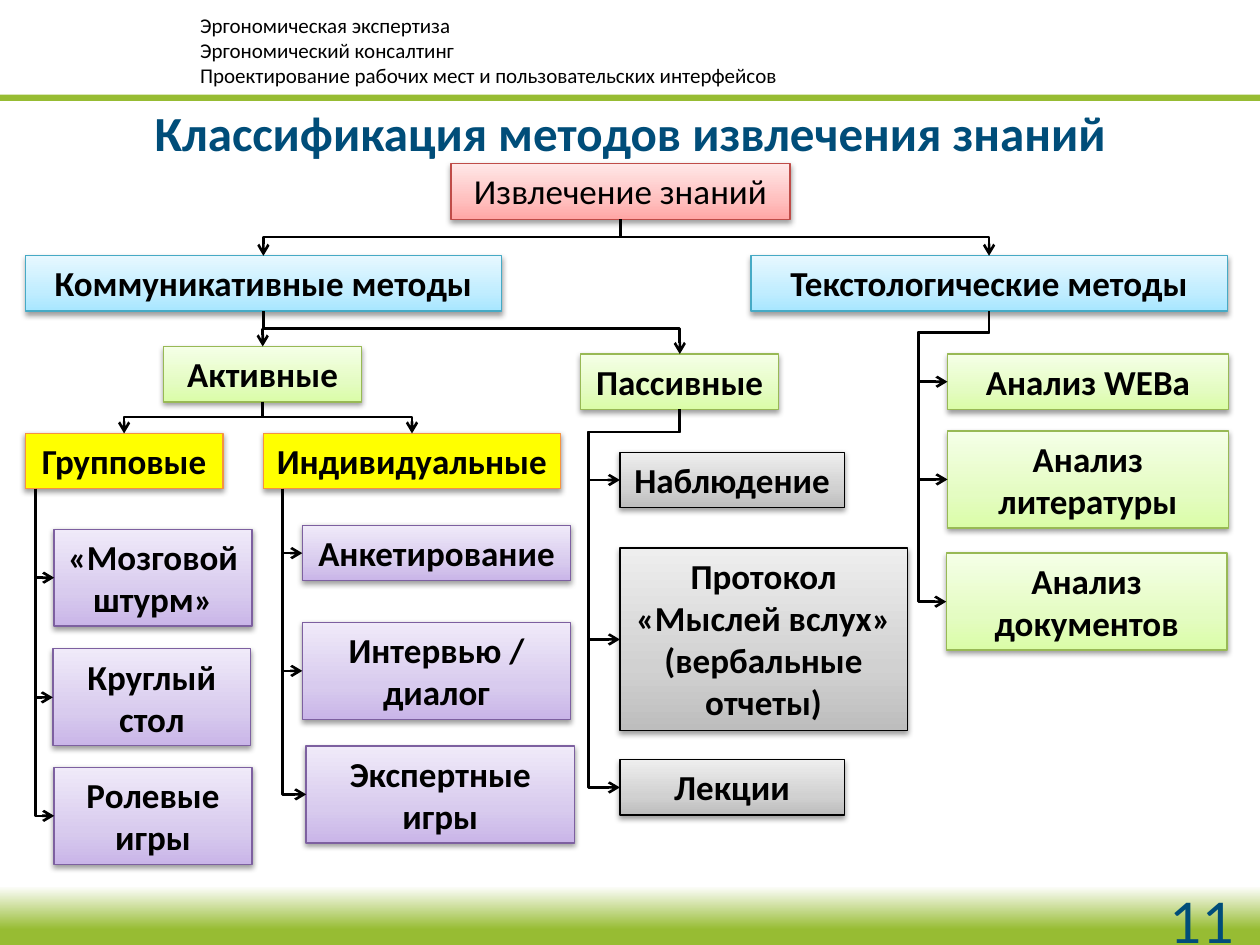
"""Build a slide with a tree of knowledge elicitation methods."""
from dataclasses import dataclass
from typing import Any, Optional

from lxml import etree
from pptx import Presentation
from pptx.dml.color import RGBColor
from pptx.enum.shapes import MSO_CONNECTOR, MSO_SHAPE
from pptx.enum.text import MSO_ANCHOR, MSO_AUTO_SIZE, PP_ALIGN
from pptx.oxml.ns import qn
from pptx.util import Emu, Pt

ELBOW, RECT = MSO_CONNECTOR.ELBOW, MSO_SHAPE.RECTANGLE
TOP, MIDDLE, FIXED = MSO_ANCHOR.TOP, MSO_ANCHOR.MIDDLE, MSO_AUTO_SIZE.NONE
LEFT, MID, RIGHT = PP_ALIGN.LEFT, PP_ALIGN.CENTER, PP_ALIGN.RIGHT
SCALE = 9144
SITE_TOP, SITE_LEFT, SITE_BASE = 0, 1, 2


@dataclass(frozen=True)
class Paint:
    """Gradient stops from bottom to top, and an outline colour."""
    stops: tuple
    line: str = ""


@dataclass(frozen=True)
class Theme:
    """Colours, fonts and type sizes of the slide."""
    ink: str = "000000"
    navy: str = "004D79"
    green: str = "97BC33"
    font: str = "Calibri"
    digit: str = "Lato"
    small: int = 12
    body: int = 20
    head: int = 28
    page: int = 32
    thin: float = 0.75
    wire: float = 1.5
    foot: Paint = Paint(((0, "97BC33"), (37, "97BC33"), (100, "FFFFFF")))
    rose: Paint = Paint(((0, "FFA6A5"), (35, "FFC0BF"), (100, "FFE7E7")), "BF4C48")
    sky: Paint = Paint(((0, "A7E6FF"), (35, "C1EDFF"), (100, "E7F8FF")), "46AAC5")
    lime: Paint = Paint(((0, "DAFDA7"), (35, "E4FCC2"), (100, "F5FFE7")), "98B955")
    grey: Paint = Paint(((0, "BDBDBD"), (35, "D1D1D1"), (100, "EEEEEE")), "000000")
    gold: Paint = Paint(((0, "FFFF00"),), "F69240")
    lilac: Paint = Paint(((0, "C9B5E8"), (35, "D8CBEE"), (100, "F0EAF9")), "7D60A0")


@dataclass(frozen=True)
class Box:
    """A labelled node of the tree, in px."""
    name: str
    text: str
    paint: Paint
    x: int
    y: int
    w: int
    h: int = 44
    bold: bool = True


@dataclass(frozen=True)
class Link:
    """Arrows from one node to others, with a drop and a side rail in px."""
    start: str
    ends: tuple
    drop: int = 0
    rail: Optional[int] = None


T = Theme()
BOXES = (
    Box("root", "Извлечение знаний", T.rose, 358, 130, 269, bold=False),
    Box("talk", "Коммуникативные методы", T.sky, 20, 203, 378),
    Box("text", "Текстологические методы", T.sky, 596, 203, 378),
    Box("web", "Анализ WEBа", T.lime, 752, 281, 223),
    Box("books", "Анализ литературы", T.lime, 752, 342, 223, 77),
    Box("files", "Анализ документов", T.lime, 751, 439, 223, 77),
    Box("active", "Активные", T.lime, 130, 275, 157),
    Box("passive", "Пассивные", T.lime, 461, 281, 157),
    Box("watch", "Наблюдение", T.grey, 492, 359, 178),
    Box("aloud", "Протокол «Мыслей вслух»\n(вербальные отчеты)", T.grey, 492, 435, 228, 145),
    Box("lecture", "Лекции", T.grey, 492, 603, 178),
    Box("group", "Групповые", T.gold, 20, 344, 157),
    Box("single", "Индивидуальные", T.gold, 209, 344, 236),
    Box("storm", "«Мозговой штурм»", T.lilac, 43, 420, 157, 77),
    Box("roles", "Ролевые игры", T.lilac, 43, 609, 157, 77),
    Box("table", "Круглый стол", T.lilac, 42, 515, 157, 77),
    Box("survey", "Анкетирование", T.lilac, 240, 417, 213),
    Box("chat", "Интервью /\nдиалог", T.lilac, 240, 494, 213, 77),
    Box("expert", "Экспертные игры", T.lilac, 243, 592, 213, 77),
)
LINKS = (
    Link("root", ("talk", "text"), 14),
    Link("talk", ("active", "passive"), 14),
    Link("text", ("web", "books", "files"), 17, 729),
    Link("active", ("single", "group"), 12),
    Link("passive", ("watch", "aloud", "lecture"), 18, 467),
    Link("single", ("survey", "chat", "expert"), rail=224),
    Link("group", ("storm", "table", "roles"), rail=28),
)
HEADER = ("Эргономическая экспертиза\nЭргономический консалтинг\n"
          "Проектирование рабочих мест и пользовательских интерфейсов")


def px(num: int) -> Emu:
    """Turn px into EMU."""
    return Emu(num * SCALE)


def put(item: Any, vals: dict) -> None:
    """Set each named value on an object."""
    for key, val in vals.items():
        setattr(item, key, val)


def place(shape: Any, x: int, y: int, w: int, h: int) -> None:
    """Move and size a shape in px."""
    put(shape, {"left": px(x), "top": px(y), "width": px(w), "height": px(h)})


def node(base: Any, tag: str, **vals: Any) -> Any:
    """Add a drawing child with the given values."""
    return etree.SubElement(base, qn(tag), {key: str(val) for key, val in vals.items()})


def write(shape: Any, text: str, size: int, ink: str = T.ink, align: Any = MID,
          bold: bool = False, font: str = T.font, anchor: Any = TOP) -> None:
    """Fill a shape with styled text."""
    frame = shape.text_frame
    put(frame, {"text": text, "word_wrap": True, "auto_size": FIXED, "vertical_anchor": anchor})
    for para in frame.paragraphs:
        para.alignment = align
        put(para.font, {"name": font, "size": Pt(size), "bold": bold})
        para.font.color.rgb = RGBColor.from_string(ink)


def draw_rect(slide: Any, area: tuple, paint: Paint) -> Any:
    """Draw a painted rectangle."""
    shape = slide.shapes.add_shape(RECT, *map(px, area))
    shape.shadow.inherit = False
    if len(paint.stops) == 1:
        shape.fill.solid()
        shape.fill.fore_color.rgb = RGBColor.from_string(paint.stops[0][1])
    else:
        shape.fill.gradient()
        shape.fill.gradient_angle = 90
        stops = shape.element.spPr.find(".//" + qn("a:gsLst"))
        stops.clear()
        for pos, tint in paint.stops:
            node(node(stops, "a:gs", pos=pos * 1000), "a:srgbClr", val=tint)
    if paint.line:
        shape.line.color.rgb = RGBColor.from_string(paint.line)
        shape.line.width = Pt(T.thin)
    else:
        shape.line.fill.background()
    return shape


def draw_box(slide: Any, box: Box) -> Any:
    """Draw a tree node with a soft shadow."""
    shape = draw_rect(slide, (box.x, box.y, box.w, box.h), box.paint)
    shade = node(shape.element.spPr.find(qn("a:effectLst")), "a:outerShdw", blurRad=40000,
                 dist=20000, dir=5400000, rotWithShape=0)
    node(node(shade, "a:srgbClr", val=T.ink), "a:alpha", val=38000)
    write(shape, box.text, T.body, bold=box.bold)
    return shape


def draw_link(slide: Any, link: Link, start: Any, end: Any) -> None:
    """Draw an elbow arrow that leaves its node downwards."""
    side = link.rail is not None
    x = start.left + start.width // 2 if link.drop else px(link.rail)
    y = start.top + start.height
    tip = end.left if side else end.left + end.width // 2
    base = end.top + end.height // 2 if side else end.top
    wide, tall = tip - x, base - y
    wire = slide.shapes.add_connector(ELBOW, 0, 0, 0, 0)
    if link.drop:
        wire.begin_connect(start, SITE_BASE)
    wire.end_connect(end, SITE_LEFT if side else SITE_TOP)
    put(wire, {"left": Emu((x + tip - tall) // 2), "top": Emu((y + base - abs(wide)) // 2),
               "width": Emu(tall), "height": Emu(abs(wide))})
    props = wire.element.spPr
    frame = props.find(qn("a:xfrm"))
    for key in ("flipH", "flipV"):
        frame.attrib.pop(key, None)
    turn = {"rot": "16200000", "flipH": "1"} if wide > 0 else {"rot": "5400000"}
    frame.attrib.update(turn)
    bends = [px(link.drop) / tall] if link.drop else []
    if link.drop and side:
        bends.append((px(link.rail) - x) / wide)
    shape = props.find(qn("a:prstGeom"))
    shape.set("prst", f"bentConnector{len(bends) + 2}")
    guides = shape.find(qn("a:avLst"))
    for num, bend in enumerate(bends, 1):
        node(guides, "a:gd", name=f"adj{num}", fmla=f"val {round(bend * 100000)}")
    wire.line.color.rgb = RGBColor.from_string(T.ink)
    wire.line.width = Pt(T.wire)
    node(props.find(qn("a:ln")), "a:tailEnd", type="arrow")
    node(props, "a:effectLst")


def main() -> None:
    """Build and save the slide."""
    deck = Presentation()
    put(deck, {"slide_width": px(1000), "slide_height": px(750)})
    slide = deck.slides.add_slide(deck.slide_layouts[5])
    draw_rect(slide, (-16, 703, 1047, 55), T.foot)
    head = slide.shapes.add_textbox(*map(px, (149, 5, 761, 70)))
    write(head, HEADER, T.small, align=LEFT)
    draw_rect(slide, (-47, 75, 1078, 5), Paint(((0, T.green),)))
    page = slide.shapes.add_textbox(*map(px, (757, 711, 233, 40)))
    write(page, "11", T.page, T.navy, RIGHT, font=T.digit, anchor=MIDDLE)
    title = slide.shapes.title
    place(title, 0, 76, 1000, 57)
    write(title, "Классификация методов извлечения знаний", T.head, T.navy, bold=True)
    nodes = {box.name: draw_box(slide, box) for box in BOXES}
    for link in LINKS:
        for end in link.ends:
            draw_link(slide, link, nodes[link.start], nodes[end])
    deck.save("out.pptx")


if __name__ == "__main__":
    main()
